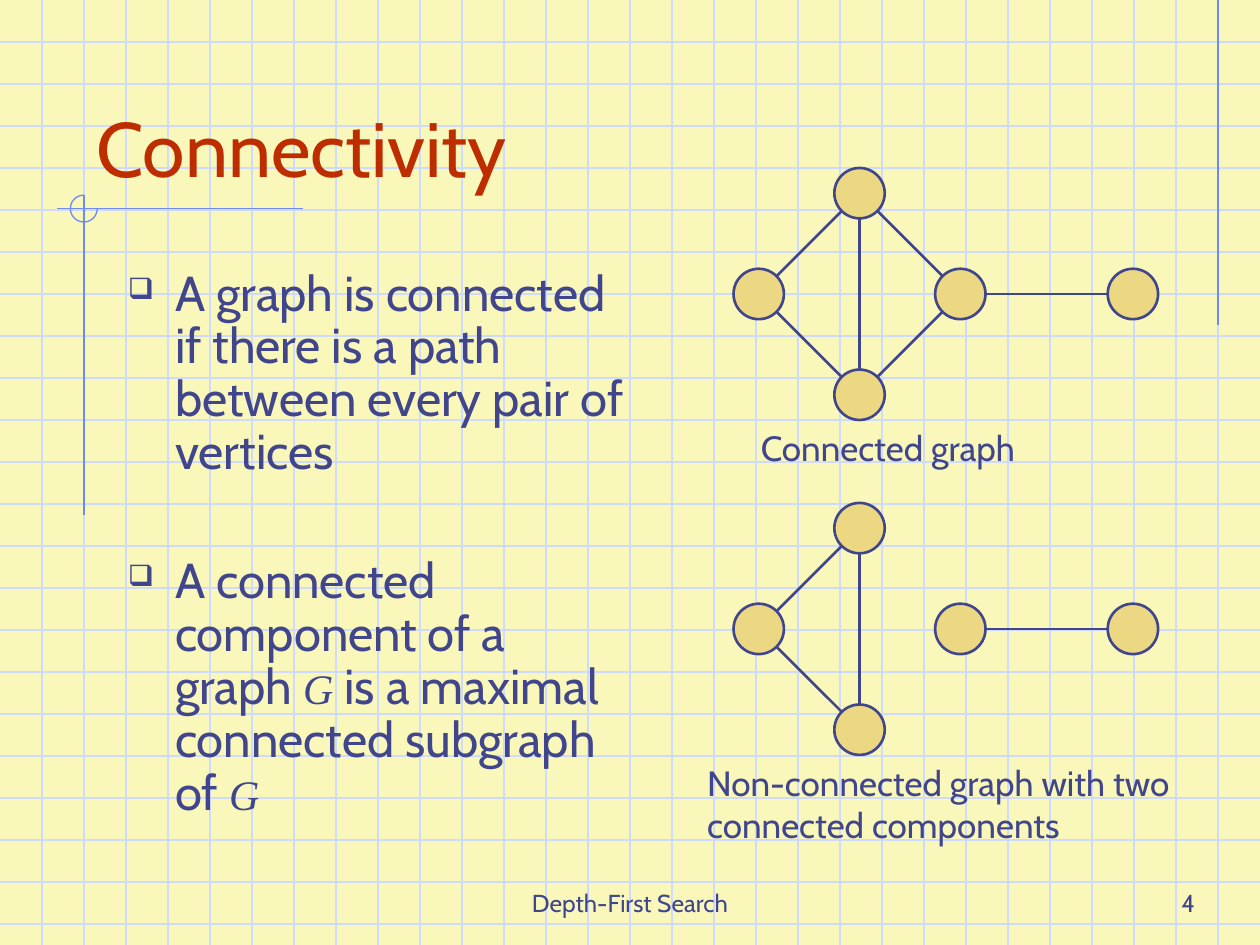
from math import hypot

from lxml import etree
from pptx import Presentation
from pptx.dml.color import RGBColor
from pptx.enum.shapes import MSO_CONNECTOR, MSO_SHAPE
from pptx.enum.text import MSO_ANCHOR, PP_ALIGN
from pptx.oxml.ns import qn
from pptx.util import Pt

STRAIGHT = MSO_CONNECTOR.STRAIGHT
ELLIPSE, ARC = MSO_SHAPE.OVAL, MSO_SHAPE.ARC
TOP, BOTTOM = MSO_ANCHOR.TOP, MSO_ANCHOR.BOTTOM
LEFT, CENTER, RIGHT = PP_ALIGN.LEFT, PP_ALIGN.CENTER, PP_ALIGN.RIGHT

color = RGBColor.from_string
PAPER, GRID, ACCENT = "F9F8BA", "CFDBFD", "6F89F7"
INK, RED, GOLD = "40458C", "BE2D00", "ECD882"
WIDTH, HEIGHT, GRID_STEP = 720, 540, 24

presentation = Presentation()
presentation.slide_width, presentation.slide_height = Pt(WIDTH), Pt(HEIGHT)
slide = presentation.slides.add_slide(presentation.slide_layouts[6])
slide.background.fill.solid()
slide.background.fill.fore_color.rgb = color(PAPER)


def add_line(x1, y1, x2, y2, line_color, weight=0.75):
    line = slide.shapes.add_connector(STRAIGHT, Pt(x1), Pt(y1), Pt(x2), Pt(y2))
    line.line.color.rgb = color(line_color)
    line.line.width = Pt(weight)
    etree.SubElement(line._element.spPr, qn("a:effectLst"))


def add_text(text, left, top, width, height, size=20, ink=INK, align=LEFT, anchor=TOP):
    """Each line is a paragraph; parts between asterisks are math symbols."""
    frame = slide.shapes.add_textbox(Pt(left), Pt(top), Pt(width), Pt(height)).text_frame
    frame.word_wrap = True
    frame.vertical_anchor = anchor
    for number, content in enumerate(text.split("\n")):
        paragraph = frame.add_paragraph() if number else frame.paragraphs[0]
        paragraph.alignment = align
        for index, part in enumerate(content.split("*")):
            if not part:
                continue
            symbol = index % 2 == 1
            run = paragraph.add_run()
            run.text = part
            run.font.name = "Times New Roman" if symbol else "Cabin"
            run.font.size = Pt(24 if symbol else size)
            run.font.italic = symbol
            run.font.color.rgb = color(ink)
    return frame


# Graph paper
for y in range(GRID_STEP, HEIGHT, GRID_STEP):
    add_line(0, y, WIDTH, y, GRID)
for x in range(GRID_STEP, WIDTH, GRID_STEP):
    add_line(x, 0, x, HEIGHT, GRID)

# Accent lines and three-quarter circle
add_line(696, 0, 696, 186, ACCENT)
add_line(173, 119.2, 32.5, 119.2, ACCENT)
add_line(48, 111.5, 48, 294.5, ACCENT)
arc = slide.shapes.add_shape(ARC, Pt(40.2), Pt(111.5), Pt(15.4), Pt(15.4))
arc.adjustments[0], arc.adjustments[1] = 0, 162
arc.shadow.inherit = False
arc.fill.background()
arc.line.color.rgb = color(ACCENT)
arc.line.width = Pt(0.75)

# Footer, page number and title
add_text("Depth-First Search", 246, 492, 228, 36, size=14, align=CENTER, anchor=BOTTOM)
add_text("4", 540, 492, 150, 36, size=14, align=RIGHT, anchor=BOTTOM)
add_text("Connectivity", 48, 24, 612, 90, size=44, ink=RED, anchor=BOTTOM)

# Definitions
definitions = add_text(
    "A graph is connected if there is a path between every pair of vertices\n"
    "A connected component of a graph *G* is a maximal connected subgraph of *G*",
    66, 150, 300, 354, size=28)
for paragraph in definitions.paragraphs:
    paragraph.line_spacing = 0.9
    properties = paragraph._p.get_or_add_pPr()
    properties.set("marL", str(Pt(27)))
    properties.set("indent", str(Pt(-27)))
    bullet_color = etree.SubElement(properties, qn("a:buClr"))
    etree.SubElement(bullet_color, qn("a:srgbClr"), val=INK)
    etree.SubElement(properties, qn("a:buSzPct"), val="60000")
    etree.SubElement(properties, qn("a:buChar"), char="❑")
definitions.paragraphs[1].space_before = Pt(43.5)

# Graphs: node centres relative to the west node
RADIUS = 14.4
NODES = {"west": (0, 0), "north": (57.6, -57.6), "south": (57.6, 57.6),
         "east": (115.2, 0), "far": (213.8, 0)}
SHARED_EDGES = [("north", "west"), ("south", "west"), ("north", "south"), ("east", "far")]
BRIDGES = [("south", "east"), ("north", "east")]

for west_y, edges in [(168, SHARED_EDGES + BRIDGES), (359.4, SHARED_EDGES)]:
    centers = {name: (433.6 + x, west_y + y) for name, (x, y) in NODES.items()}
    for x, y in centers.values():
        node = slide.shapes.add_shape(
            ELLIPSE, Pt(x - RADIUS), Pt(y - RADIUS), Pt(2 * RADIUS), Pt(2 * RADIUS))
        node.shadow.inherit = False
        node.fill.solid()
        node.fill.fore_color.rgb = color(GOLD)
        node.line.color.rgb = color(INK)
        node.line.width = Pt(1.5)
    # Edges run from rim to rim
    for start, end in edges:
        (x1, y1), (x2, y2) = centers[start], centers[end]
        length = hypot(x2 - x1, y2 - y1)
        dx, dy = RADIUS * (x2 - x1) / length, RADIUS * (y2 - y1) / length
        add_line(x1 + dx, y1 + dy, x2 - dx, y2 - dy, INK, 1.5)

# Graph captions
add_text("Connected graph", 427.7, 240, 224.6, 31.5)
add_text("Non-connected graph with two connected components", 397, 431.5, 287, 55.5)

presentation.save("out.pptx")
